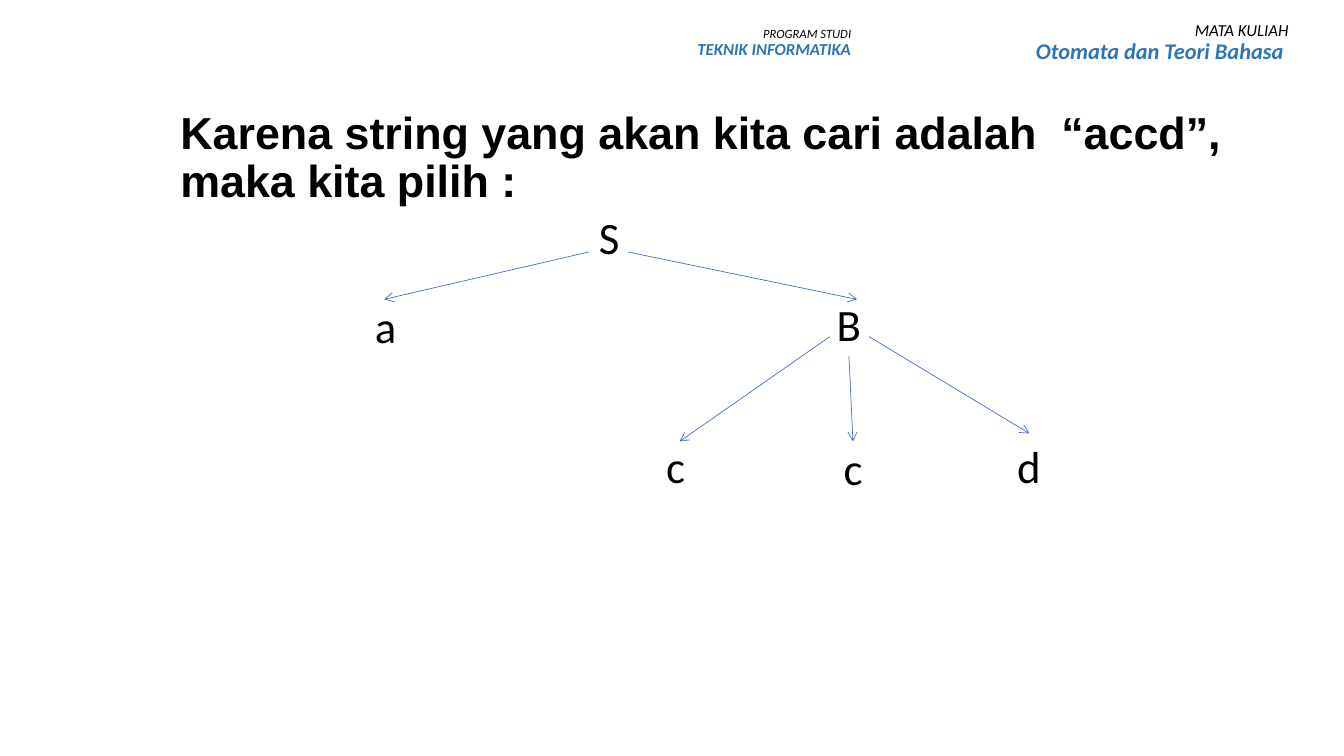
from lxml.etree import SubElement
from pptx import Presentation
from pptx.dml.color import RGBColor
from pptx.enum.shapes import MSO_CONNECTOR
from pptx.enum.text import MSO_ANCHOR, PP_ALIGN
from pptx.oxml.ns import qn
from pptx.util import Pt

SCALE = 9144
BLACK, BLUE, LINE = "000000", "2E75B6", "4472C4"

NODES = [
    ("S", 584, 203, 41), ("a", 362, 291, 39), ("B", 820, 289, 45),
    ("c", 651, 430, 40), ("c", 827, 432, 40), ("d", 999, 430, 43),
]
EDGES = [
    (584, 250, 381, 297), (623, 250, 850, 297),
    (823, 334, 674, 438), (842, 353, 846, 438), (862, 334, 1021, 430),
]


def px(*sizes):
    return [size * SCALE for size in sizes]


def color(code):
    return RGBColor.from_string(code)


def write(para, text, size=32, font="Calibri", tint=BLACK, bold=False,
          italic=False, align=PP_ALIGN.LEFT, space=1.0):
    para.alignment = align
    para.line_spacing = space
    run = para.add_run()
    run.text = text
    face = run.font
    face.name, face.size = font, Pt(size)
    face.bold, face.italic = bold, italic
    face.color.rgb = color(tint)


def frame(slide, x, y, wide, high, wrap=True):
    body = slide.shapes.add_textbox(*px(x, y, wide, high)).text_frame
    body.word_wrap = wrap
    return body


def title(slide, text):
    body = frame(slide, 169, 113, 1066, 89)
    body.vertical_anchor = MSO_ANCHOR.MIDDLE
    write(body.paragraphs[0], text, font="Arial", bold=True, space=0.9)


def header(slide, box, label, name, small, large):
    body = frame(slide, *box)
    style = dict(italic=True, align=PP_ALIGN.RIGHT, space=0.9)
    write(body.paragraphs[0], label, size=small, **style)
    write(body.add_paragraph(), name, size=large, tint=BLUE, bold=True, **style)


def node(slide, text, x, y, wide):
    body = frame(slide, x, y, wide, 64, wrap=False)
    write(body.paragraphs[0], text)


def arrow(slide, *ends):
    edge = slide.shapes.add_connector(MSO_CONNECTOR.STRAIGHT, *px(*ends))
    edge.line.color.rgb = color(LINE)
    edge.line.width = Pt(0.5)
    SubElement(edge.line._get_or_add_ln(), qn("a:tailEnd"), type="arrow")
    SubElement(edge._element.spPr, qn("a:effectLst"))


def main():
    deck = Presentation()
    deck.slide_width, deck.slide_height = px(1333, 750)
    slide = deck.slides.add_slide(deck.slide_layouts[6])
    title(slide, "Karena string yang akan kita cari adalah  “accd”, maka kita pilih :")
    for edge in EDGES:
        arrow(slide, *edge)
    for item in NODES:
        node(slide, *item)
    header(slide, (603, 22, 251, 56), "PROGRAM STUDI", "TEKNIK INFORMATIKA", 9, 12)
    header(slide, (980, 17, 308, 74), "MATA KULIAH", "Otomata dan Teori Bahasa ", 12, 16)
    deck.save("out.pptx")


if __name__ == "__main__":
    main()
